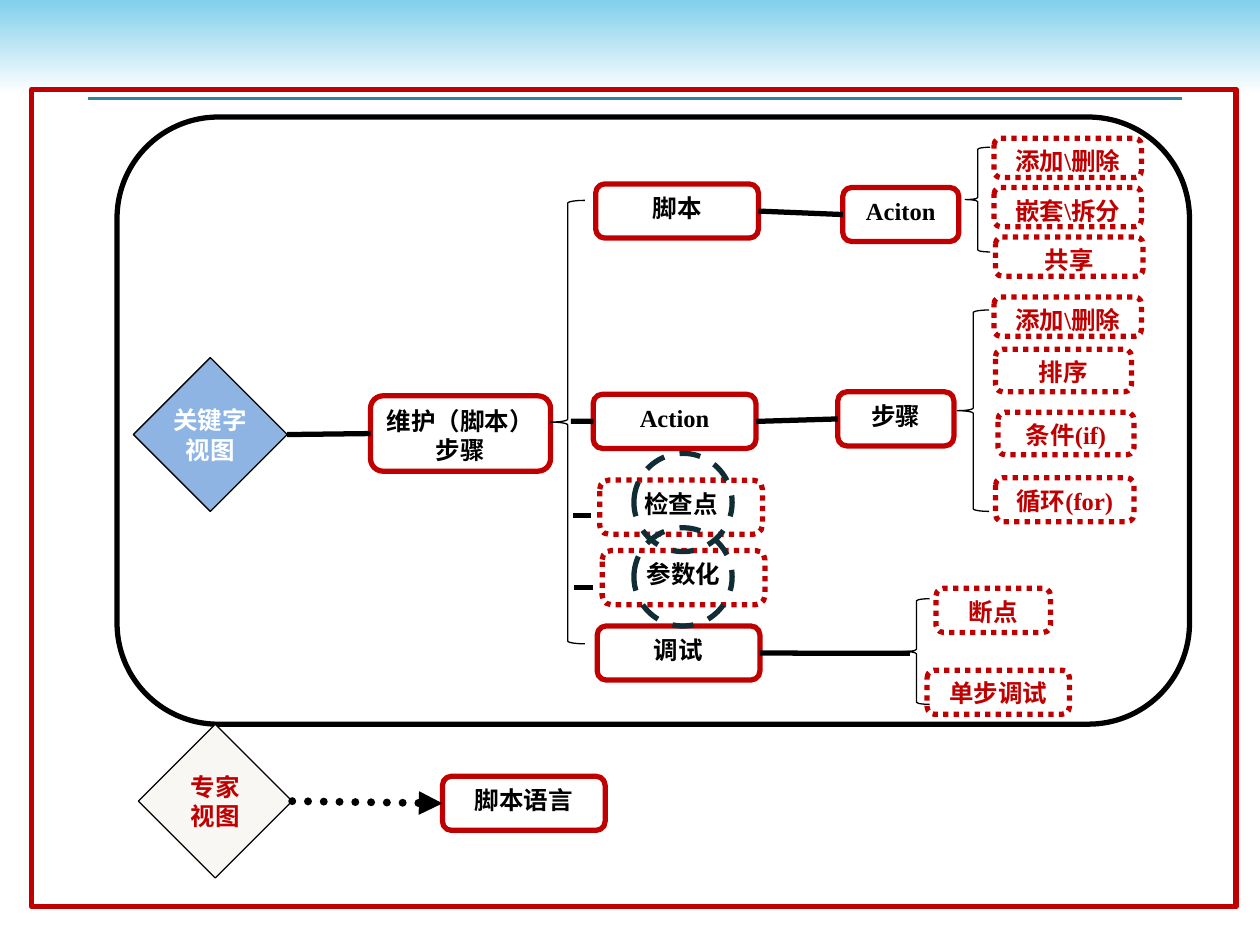
"""Build the slide that maps the keyword view and the expert view."""
from lxml import etree
from pptx import Presentation
from pptx import util as u
from pptx.dml.color import RGBColor
from pptx.enum import dml, shapes, text
from pptx.oxml import ns

BLACK = RGBColor(0x00, 0x00, 0x00)
WHITE = RGBColor(0xFF, 0xFF, 0xFF)
RED = RGBColor(0xC0, 0x00, 0x00)
SKY = RGBColor(0x81, 0xCF, 0xEB)
TEAL = RGBColor(0x31, 0x85, 0x9C)
NAVY = RGBColor(0x10, 0x2C, 0x34)
BLUE = RGBColor(0x8E, 0xB4, 0xE3)
IVORY = RGBColor(0xF8, 0xF7, 0xF3)
KIND = shapes.MSO_SHAPE
DOTTED = dml.MSO_LINE.ROUND_DOT
DASHED = dml.MSO_LINE.DASH

deck = Presentation()
deck.slide_width, deck.slide_height = u.Cm(25.4), u.Cm(19.05)
page = deck.slides.add_slide(deck.slide_layouts[6])


def add_box(kind, place, line, weight=3, dash=None, label="", ink=BLACK):
    box = page.shapes.add_shape(kind, *[u.Cm(length) for length in place])
    box.shadow.inherit = False
    box.fill.background()
    box.line.color.rgb = line
    box.line.width = u.Pt(weight)
    if dash:
        box.line.dash_style = dash
    if label:
        frame = box.text_frame
        frame.text = label
        frame.word_wrap = True
        frame.vertical_anchor = text.MSO_ANCHOR.TOP
        for para in frame.paragraphs:
            para.alignment = text.PP_ALIGN.CENTER
            for span in para.runs:
                span.font.name = "Times New Roman"
                span.font.size = u.Pt(14)
                span.font.bold = True
                span.font.color.rgb = ink
    return box


def add_link(start, end, source=None, target=None, color=BLACK, weight=3):
    points = [u.Cm(length) for length in (*start, *end)]
    link = page.shapes.add_connector(shapes.MSO_CONNECTOR.STRAIGHT, *points)
    if source:
        link.begin_connect(source, 3)
    if target:
        link.end_connect(target, 1)
    link.line.color.rgb = color
    link.line.width = u.Pt(weight)
    etree.SubElement(link._element.spPr, ns.qn("a:effectLst"))
    return link


header = add_box(KIND.RECTANGLE, (0, 0, 25.4, 1.9), SKY)
header.line.fill.background()
header.fill.gradient()
header.fill.gradient_angle = 270
for stop, color, position in zip(header.fill.gradient_stops, (SKY, WHITE), (0, 1)):
    stop.color.rgb = color
    stop.position = position
add_link((1.78, 1.98), (23.83, 1.98), color=TEAL, weight=1.5)

add_box(KIND.RECTANGLE, (0.64, 1.8, 24.28, 16.48), RED)
add_box(KIND.ROUNDED_RECTANGLE, (2.36, 2.36, 21.62, 12.24), BLACK)

views = []
for label, left, top, fill, ink in [
    ("关键字\n视图", 2.69, 7.21, BLUE, WHITE),
    ("专家\n视图", 2.79, 14.6, IVORY, RED),
]:
    view = add_box(KIND.DIAMOND, (left, top, 3.1, 3.1), BLACK, 0.75, label=label, ink=ink)
    view.fill.solid()
    view.fill.fore_color.rgb = fill
    view.text_frame.word_wrap = False
    view.text_frame.vertical_anchor = text.MSO_ANCHOR.MIDDLE
    views.append(view)
keyword_view, expert_view = views

steps = {}
for label, left, top, width, height in [
    ("维护（脚本）步骤", 7.47, 7.98, 3.63, 1.52),
    ("脚本", 12.01, 3.71, 3.28, 1.09),
    ("Aciton", 16.99, 3.78, 2.34, 1.09),
    ("Action", 11.96, 7.95, 3.28, 1.09),
    ("步骤", 16.89, 7.9, 2.34, 1.09),
    ("调试", 12.04, 12.62, 3.28, 1.09),
    ("脚本语言", 8.92, 15.65, 3.28, 1.09),
]:
    place = (left, top, width, height)
    steps[label] = add_box(KIND.ROUNDED_RECTANGLE, place, RED, label=label)

for label, left, top, width, height, ink in [
    ("检查点", 12.09, 9.68, 3.28, 1.09, BLACK),
    ("参数化", 12.14, 11.1, 3.28, 1.09, BLACK),
    ("添加\\删除", 20.04, 2.79, 2.97, 0.79, RED),
    ("嵌套\\拆分", 20.04, 3.78, 2.97, 0.79, RED),
    ("共享", 20.07, 4.78, 2.97, 0.79, RED),
    ("添加\\删除", 20.04, 5.99, 2.97, 0.79, RED),
    ("排序", 20.07, 7.04, 2.74, 0.86, RED),
    ("条件(if)", 20.12, 8.31, 2.74, 0.86, RED),
    ("循环(for)", 20.07, 9.63, 2.79, 0.89, RED),
    ("断点", 18.87, 11.86, 2.31, 0.89, RED),
    ("单步调试", 18.69, 13.51, 2.87, 0.89, RED),
]:
    place = (left, top, width, height)
    add_box(KIND.ROUNDED_RECTANGLE, place, RED, dash=DOTTED, label=label, ink=ink)

for place in [
    (11.1, 4.04, 0.69, 8.94),
    (19.46, 2.97, 0.5, 2.11),
    (19.3, 6.25, 0.64, 4.06),
    (18.21, 12.07, 0.53, 2.13),
]:
    add_box(KIND.LEFT_BRACE, place, BLACK, 0.75)

for source, target in [
    (keyword_view, steps["维护（脚本）步骤"]),
    (steps["脚本"], steps["Aciton"]),
    (steps["Action"], steps["步骤"]),
]:
    add_link((0, 0), (0, 0), source, target)
add_link((11.51, 8.49), (11.96, 8.49), target=steps["Action"])
add_link((15.32, 13.17), (18.34, 13.17), steps["调试"])
add_link((11.56, 10.39), (11.91, 10.39))
add_link((11.58, 11.84), (11.96, 11.84))

arrow = add_link((0, 0), (0, 0), expert_view, steps["脚本语言"], weight=4.5)
arrow.line.dash_style = DOTTED
outline = arrow.line._get_or_add_ln()
outline.set("cap", "rnd")
etree.SubElement(outline, ns.qn("a:tailEnd"), type="triangle")

for top in (9.14, 10.64):
    add_box(KIND.OVAL, (12.78, top, 1.98, 1.98), NAVY, dash=DASHED)

deck.save("out.pptx")
